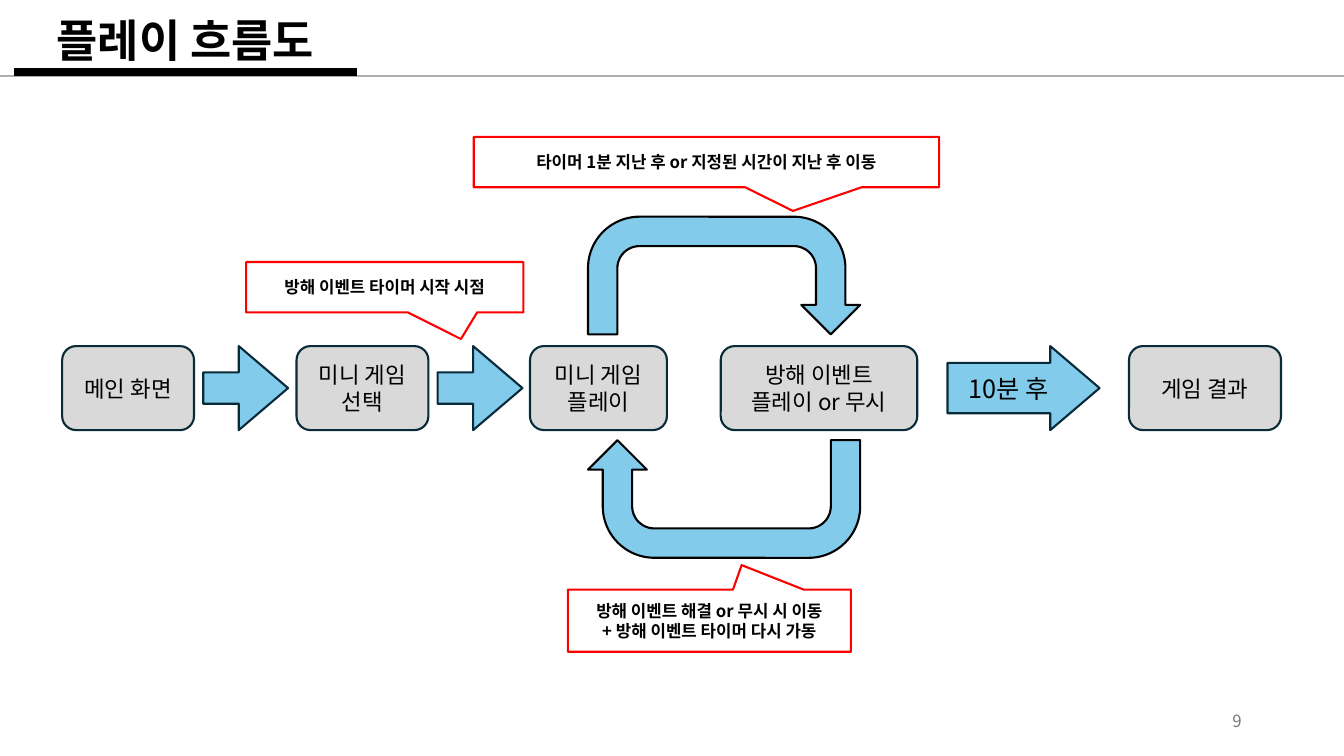
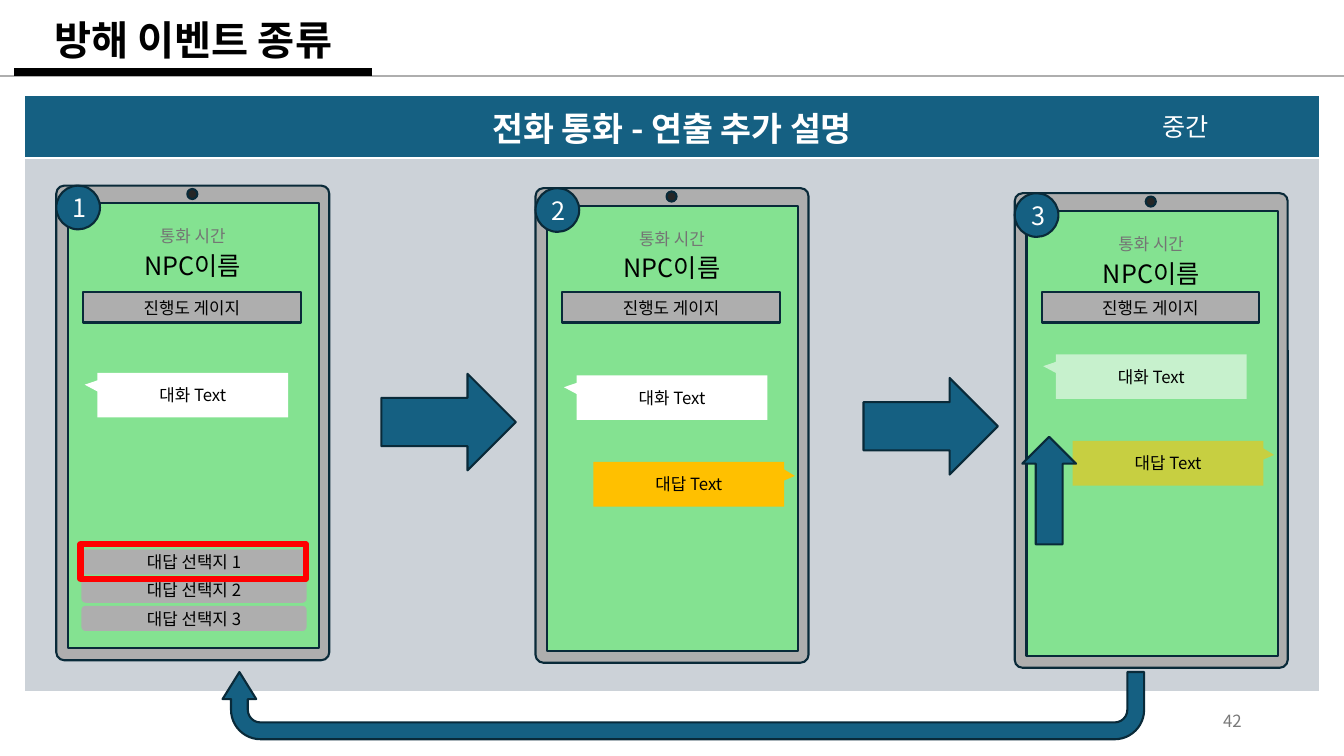
from lxml.etree import SubElement
from pptx import Presentation
from pptx.dml.color import RGBColor
from pptx.enum.shapes import MSO_CONNECTOR, MSO_SHAPE
from pptx.enum.text import MSO_ANCHOR, PP_ALIGN
from pptx.oxml.ns import qn
from pptx.util import Inches, Pt

FONT = "Noto Sans CJK KR"
BLACK, WHITE, RED = "000000", "FFFFFF", "FF0000"
OUTLINE, TEAL, SKY, GREEN = "092A39", "156082", "83CBEB", "84E291"
GRAY, LIGHT_GRAY, PANEL, AMBER = "AEAEAE", "D9D9D9", "CCD2D8", "FFC000"

presentation = Presentation()
presentation.slide_width = Inches(13.333)
presentation.slide_height = Inches(7.5)

# Every length below counts cells of a grid of 160 columns by 90 rows
CELL = presentation.slide_height / 90


def write(text_frame, text, size, color=BLACK, bold=False, align=PP_ALIGN.CENTER):
    text_frame.text = text
    text_frame.word_wrap = True
    text_frame.vertical_anchor = MSO_ANCHOR.MIDDLE
    for paragraph in text_frame.paragraphs:
        paragraph.alignment = align
        for run in paragraph.runs:
            run.font.size, run.font.bold, run.font.name = Pt(size), bold, FONT
            run.font.color.rgb = RGBColor.from_string(color)
            SubElement(run._r.get_or_add_rPr(), qn("a:ea"), typeface=FONT)


def draw(slide, kind, place, fill=None, line=None, text="", size=12, color=BLACK,
         bold=False, adjust=(), turn=0, weight=1.5, opacity=100):
    shape = slide.shapes.add_shape(kind, *[round(cells * CELL) for cells in place])
    shape.shadow.inherit = False
    shape.rotation = turn
    for index, value in enumerate(adjust):
        shape.adjustments[index] = value
    if fill:
        shape.fill.solid()
        shape.fill.fore_color.rgb = RGBColor.from_string(fill)
        if opacity < 100:
            fill_color = shape.fill._xPr.find(".//" + qn("a:srgbClr"))
            SubElement(fill_color, qn("a:alpha"), val=str(opacity * 1000))
    else:
        shape.fill.background()
    if line:
        shape.line.color.rgb = RGBColor.from_string(line)
        shape.line.width = Pt(weight)
    else:
        shape.line.fill.background()
    if text:
        write(shape.text_frame, text, size, color, bold)


# Shared header and page number
slides = []
for title, title_size, title_width, number in [
    ("플레이 흐름도", 32, 40.8, "9"),
    ("방해 이벤트 종류", 28.8, 42.6, "42"),
]:
    slide = presentation.slides.add_slide(presentation.slide_layouts[6])
    slides.append(slide)
    for start, end, row, color, weight in [
        (0, 160, 9.1, GRAY, 1.5),
        (1.7, 1.7 + title_width, 8.6, BLACK, 6),
    ]:
        rule = slide.shapes.add_connector(
            MSO_CONNECTOR.STRAIGHT,
            *[round(cells * CELL) for cells in (start, row, end, row)])
        rule.line.color.rgb = RGBColor.from_string(color)
        rule.line.width = Pt(weight)
        SubElement(rule._element.spPr, qn("a:effectLst"))
    for place, text, size, color, bold, align in [
        ((1.7, 1.1, title_width, 8), title, title_size, BLACK, True, PP_ALIGN.CENTER),
        ((113, 83.4, 36, 4.8), number, 12, "797979", False, PP_ALIGN.RIGHT),
    ]:
        box = slide.shapes.add_textbox(*[round(cells * CELL) for cells in place])
        write(box.text_frame, text, size, color, bold, align)
        box.text_frame.paragraphs[0].line_spacing = 0.9 if bold else 1

flow_slide, call_slide = slides

# Flow: steps and arrows along one row
FLOW_TOP, FLOW_HEIGHT = 41.2, 10
for left, width, text in [
    (7.4, 15.7, "메인 화면"),
    (35.3, 15.7, "미니 게임 선택"),
    (63.1, 16.3, "미니 게임\n플레이"),
    (85.8, 23.4, "방해 이벤트\n플레이 or 무시"),
    (134.4, 18.1, "게임 결과"),
]:
    draw(flow_slide, MSO_SHAPE.ROUNDED_RECTANGLE, (left, FLOW_TOP, width, FLOW_HEIGHT),
         LIGHT_GRAY, OUTLINE, text, 16)
for left, width, shaft, text in [
    (24.2, 10.1, 0.374, ""),
    (52.1, 10.1, 0.374, ""),
    (112.8, 18.1, 0.6, "10분 후"),
]:
    draw(flow_slide, MSO_SHAPE.RIGHT_ARROW, (left, FLOW_TOP, width, FLOW_HEIGHT),
         SKY, OUTLINE, text, 18, adjust=(shaft, 0.587))

# Flow: the loop between playing and disturbance
for top, turn in [(25.8, 0), (52.4, 180)]:
    draw(flow_slide, MSO_SHAPE.U_TURN_ARROW, (70, top, 32.4, 14), SKY, BLACK,
         adjust=(0.25, 0.25, 0.25, 0.438, 1), turn=turn)

# Flow: red callouts
for place, pointer, text in [
    ((29.3, 31.2, 33, 6), (0.275, 1.028), "방해 이벤트 타이머 시작 시점"),
    ((67.6, 70.2, 33.7, 7.4), (0.114, -0.895),
     "방해 이벤트 해결 or 무시 시 이동\n+ 방해 이벤트 타이머 다시 가동"),
    ((56.4, 16.3, 55.4, 6), (0.186, 0.97),
     "타이머 1분 지난 후 or 지정된 시간이 지난 후 이동"),
]:
    draw(flow_slide, MSO_SHAPE.RECTANGULAR_CALLOUT, place, WHITE, RED, text,
         bold=True, adjust=pointer)

# Call: table with heading band and panel
heights = (7.4, 63.5)
table = call_slide.shapes.add_table(
    2, 1, *[round(cells * CELL) for cells in (2.9, 11.4, 154.2, sum(heights))]).table
for row, height, fill in zip(table.rows, heights, (TEAL, PANEL)):
    row.height = round(height * CELL)
    row.cells[0].fill.solid()
    row.cells[0].fill.fore_color.rgb = RGBColor.from_string(fill)
heading = table.cell(0, 0)
write(heading.text_frame, "전화 통화 - 연출 추가 설명", 24, WHITE, True)
heading.vertical_anchor = MSO_ANCHOR.MIDDLE
draw(call_slide, MSO_SHAPE.RECTANGLE, (125.2, 11.6, 31.8, 6.8), TEAL,
     text="중간", size=18, color=WHITE)

# Call: three phones, the last with its messages faded and moved up
for index, top in enumerate((22.1, 22.4, 23)):
    left = 6.7 + 57.05 * index
    lift, opacity = (3.1, 55) if index == 2 else (0, 100)
    draw(call_slide, MSO_SHAPE.ROUNDED_RECTANGLE, (left, top, 32.5, 56.5),
         GRAY, OUTLINE, adjust=(0.029,))
    draw(call_slide, MSO_SHAPE.OVAL, (left + 15.6, top + 0.4, 1.2, 1.2),
         "262626", OUTLINE)
    draw(call_slide, MSO_SHAPE.RECTANGLE, (left + 1.4, top + 2.1, 29.9, 53),
         GREEN, OUTLINE)
    draw(call_slide, MSO_SHAPE.RECTANGLE, (left + 7.8, top + 4.2, 16.9, 3.6),
         text="통화 시간", color="747474")
    draw(call_slide, MSO_SHAPE.RECTANGLE, (left + 7.8, top + 7.1, 16.9, 4.8),
         text="NPC이름", size=18)
    draw(call_slide, MSO_SHAPE.RECTANGLE, (left + 3.2, 34.8, 25.9, 3.6),
         GRAY, OUTLINE, "진행도 게이지")
    messages = [(4.9, 22.3, WHITE, (-0.567, -0.236), "대화 Text"),
                (6.9, 32.6, AMBER, (0.556, -0.187), "대답 Text")]
    for indent, drop, fill, pointer, text in messages[:index + 1]:
        draw(call_slide, MSO_SHAPE.RECTANGULAR_CALLOUT,
             (left + indent, top + drop - lift, 22.7, 5.3), fill, text=text,
             adjust=pointer, opacity=opacity)
    draw(call_slide, MSO_SHAPE.OVAL, (left, top, 5.2, 5.2), TEAL, OUTLINE,
         str(index + 1), 18, WHITE)

# Call: answer choices, the first one selected
for index in range(3):
    draw(call_slide, MSO_SHAPE.ROUNDED_RECTANGLE, (9.7, 65.4 + 3.36 * index, 26.8, 3),
         GRAY, text=f"대답 선택지 {index + 1}")
draw(call_slide, MSO_SHAPE.RECTANGLE, (9.6, 64.8, 26.8, 4.1), line=RED, weight=4.5)

# Call: arrows between phones, upward, and back to the start
for kind, place, adjust, turn in [
    (MSO_SHAPE.RIGHT_ARROW, (45.4, 44.5, 16, 11.5), (), 0),
    (MSO_SHAPE.RIGHT_ARROW, (102.8, 45, 16, 11.5), (), 0),
    (MSO_SHAPE.UP_ARROW, (121.7, 52, 6.4, 12.8), (), 0),
    (MSO_SHAPE.U_TURN_ARROW, (26.5, 80, 109.7, 8), (0.25, 0.25, 0.402, 0.438, 1), 180),
]:
    draw(call_slide, kind, place, TEAL, OUTLINE, adjust=adjust, turn=turn)

presentation.save("out.pptx")
